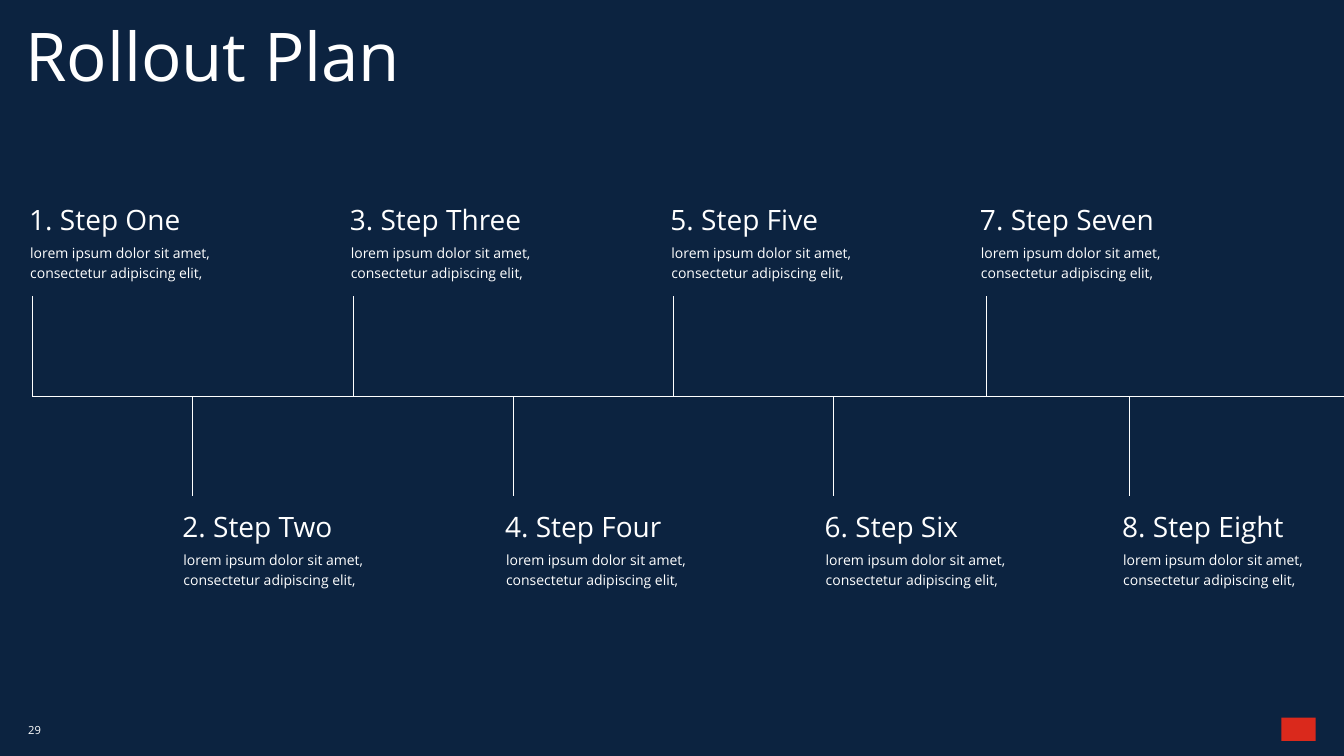
from pptx import Presentation
from pptx.dml.color import RGBColor
from pptx.enum.shapes import MSO_CONNECTOR, MSO_SHAPE
from pptx.enum.text import MSO_ANCHOR, MSO_AUTO_SIZE, PP_ALIGN
from pptx.oxml.ns import qn
from pptx.util import Inches, Pt

NAVY = RGBColor(0x0C, 0x23, 0x40)
WHITE = RGBColor(0xFF, 0xFF, 0xFF)
RED = RGBColor(0xDA, 0x29, 0x1C)

AXIS = 3.93
STEM = 0.99
BLURB = "lorem ipsum dolor sit amet, consectetur adipiscing elit,"

# Name, left edge of the heading, place of the stem, text width
STEPS = [
    ("One", 0.29, 0.32, 2.16),
    ("Two", 1.81, 1.91, 2.16),
    ("Three", 3.47, 3.5, 2.16),
    ("Four", 5.01, 5.09, 2.16),
    ("Five", 6.65, 6.68, 2.16),
    ("Six", 8.18, 8.27, 2.16),
    ("Seven", 9.72, 9.78, 2.16),
    ("Eight", 11.13, 11.2, 1.91),
]


class Board:
    """Holds the text style and the slide being drawn."""

    def __init__(self, deck, font, color):
        self.slide = deck.slides.add_slide(deck.slide_layouts[5])
        self.font = font
        self.color = color

    def back(self, color):
        fill = self.slide.background.fill
        fill.solid()
        fill.fore_color.rgb = color

    def label(self, shape, text, size, lead, after=0, anchor=MSO_ANCHOR.TOP):
        """Put one styled paragraph into a shape without margins."""
        frame = shape.text_frame
        frame.word_wrap = True
        frame.auto_size = MSO_AUTO_SIZE.NONE
        frame.vertical_anchor = anchor
        frame.margin_left = frame.margin_right = 0
        frame.margin_top = frame.margin_bottom = 0
        para = frame.paragraphs[0]
        para.alignment = PP_ALIGN.LEFT
        para.line_spacing = lead
        para.space_before = Pt(0)
        para.space_after = Pt(after)
        run = para.add_run()
        run.text = text
        run.font.name = self.font
        run.font.size = Pt(size)
        run.font.color.rgb = self.color

    def title(self, text, left, top, width, height):
        shape = self.slide.shapes.title
        shape.left, shape.top = Inches(left), Inches(top)
        shape.width, shape.height = Inches(width), Inches(height)
        self.label(shape, text, 48, 0.7)

    def text(self, text, left, top, width, height, size, lead=1.0, **style):
        box = self.slide.shapes.add_textbox(
            Inches(left), Inches(top), Inches(width), Inches(height))
        self.label(box, text, size, lead, **style)

    def line(self, x1, y1, x2, y2):
        line = self.slide.shapes.add_connector(
            MSO_CONNECTOR.STRAIGHT,
            Inches(x1), Inches(y1), Inches(x2), Inches(y2))
        line.line.color.rgb = self.color
        line.line.width = Pt(0.5)
        props = line._element.spPr
        props.append(props.makeelement(qn("a:effectLst"), {}))

    def block(self, left, top, width, height, color):
        shape = self.slide.shapes.add_shape(
            MSO_SHAPE.RECTANGLE,
            Inches(left), Inches(top), Inches(width), Inches(height))
        shape.shadow.inherit = False
        shape.fill.solid()
        shape.fill.fore_color.rgb = color
        shape.line.fill.background()

    def step(self, num, name, left, stem, width):
        """Draw a step: odd ones above the axis, even ones below."""
        above = num % 2 == 1
        top = 2.1 if above else 5.15
        end = AXIS - STEM if above else AXIS + STEM
        self.text(f"{num}. Step {name}", left, top, width, 0.29, 20, 0.7)
        self.text(BLURB, left + 0.01, top + 0.29, width, 0.39, 10, 1.2,
                  after=12)
        self.line(stem, AXIS, stem, end)


def main():
    deck = Presentation()
    deck.slide_width = Inches(13.33)
    deck.slide_height = Inches(7.5)

    board = Board(deck, "Open Sans", WHITE)
    board.back(NAVY)
    board.title("Rollout Plan", 0.25, 0.36, 10.34, 1)
    for num, step in enumerate(STEPS, 1):
        board.step(num, *step)
    board.line(STEPS[0][2], AXIS, 13.33, AXIS)
    board.text("29", 0.28, 7.13, 0.54, 0.22, 8, anchor=MSO_ANCHOR.MIDDLE)
    board.block(12.71, 7.12, 0.34, 0.23, RED)

    deck.save("out.pptx")


if __name__ == "__main__":
    main()
